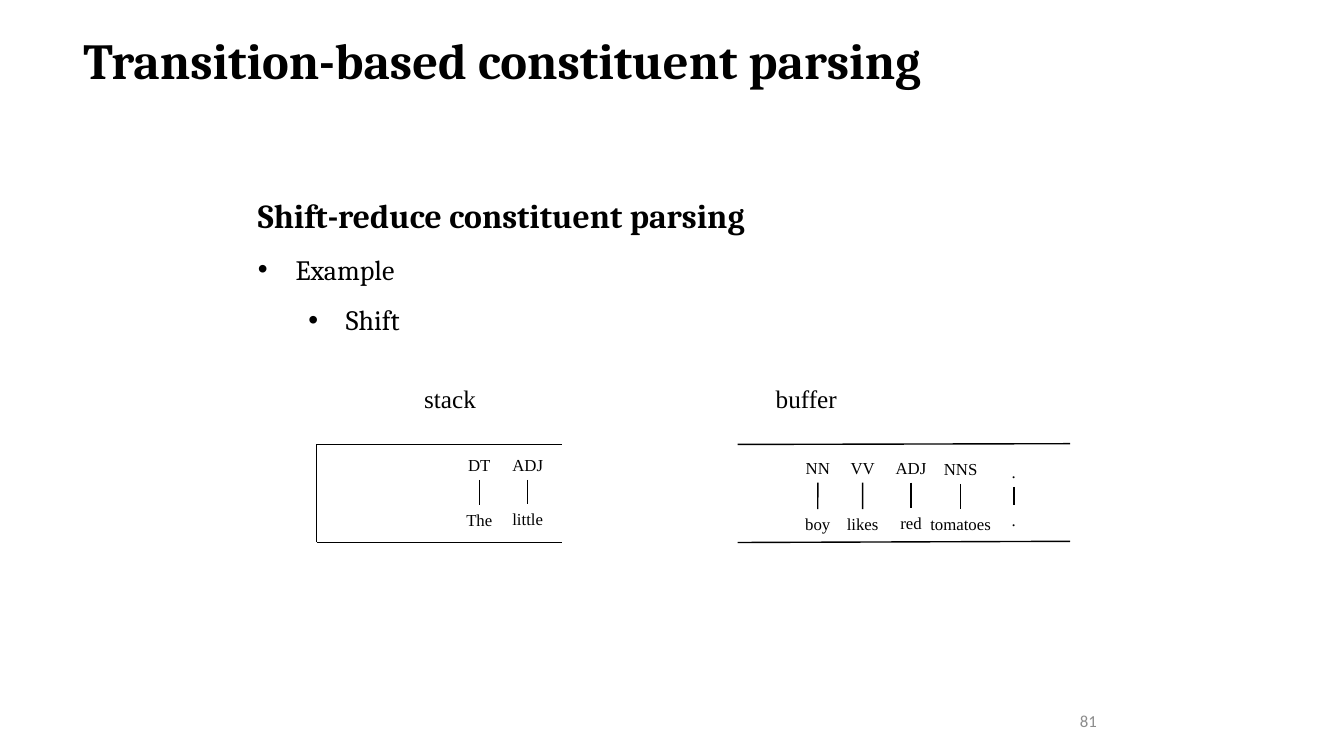
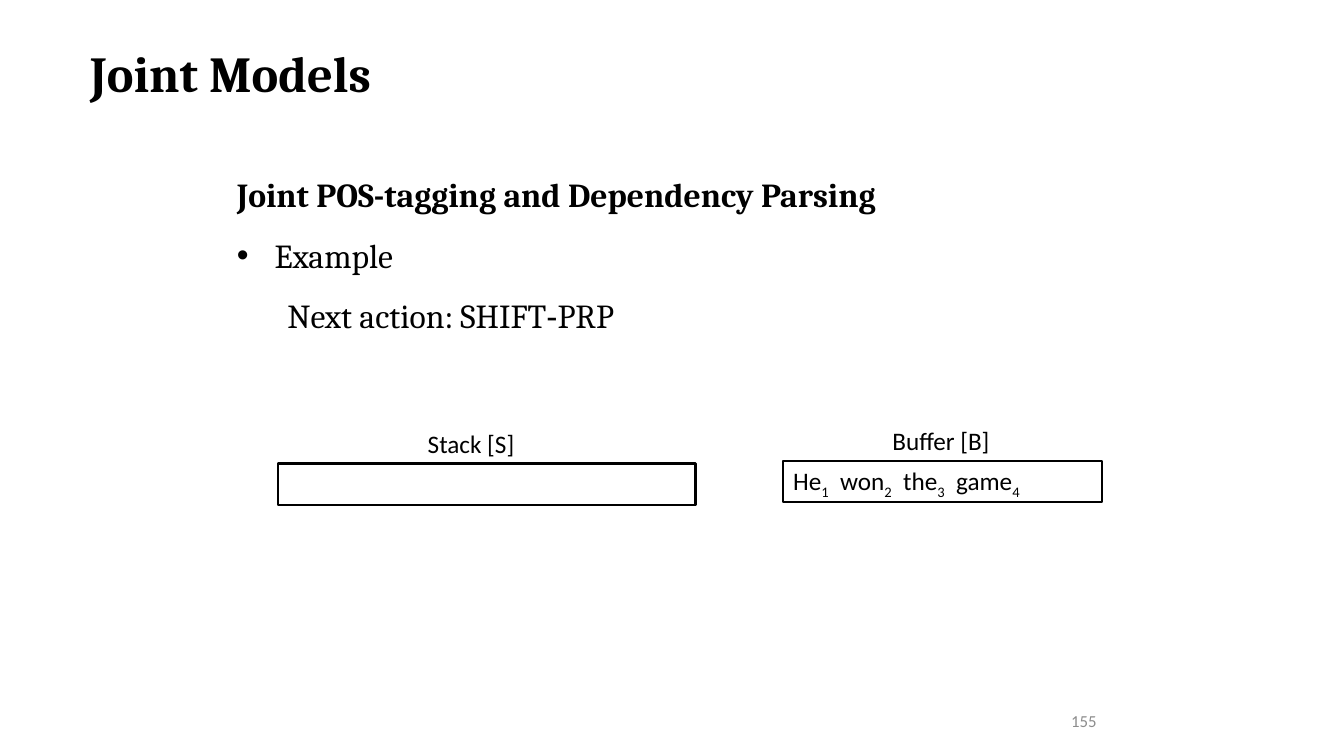
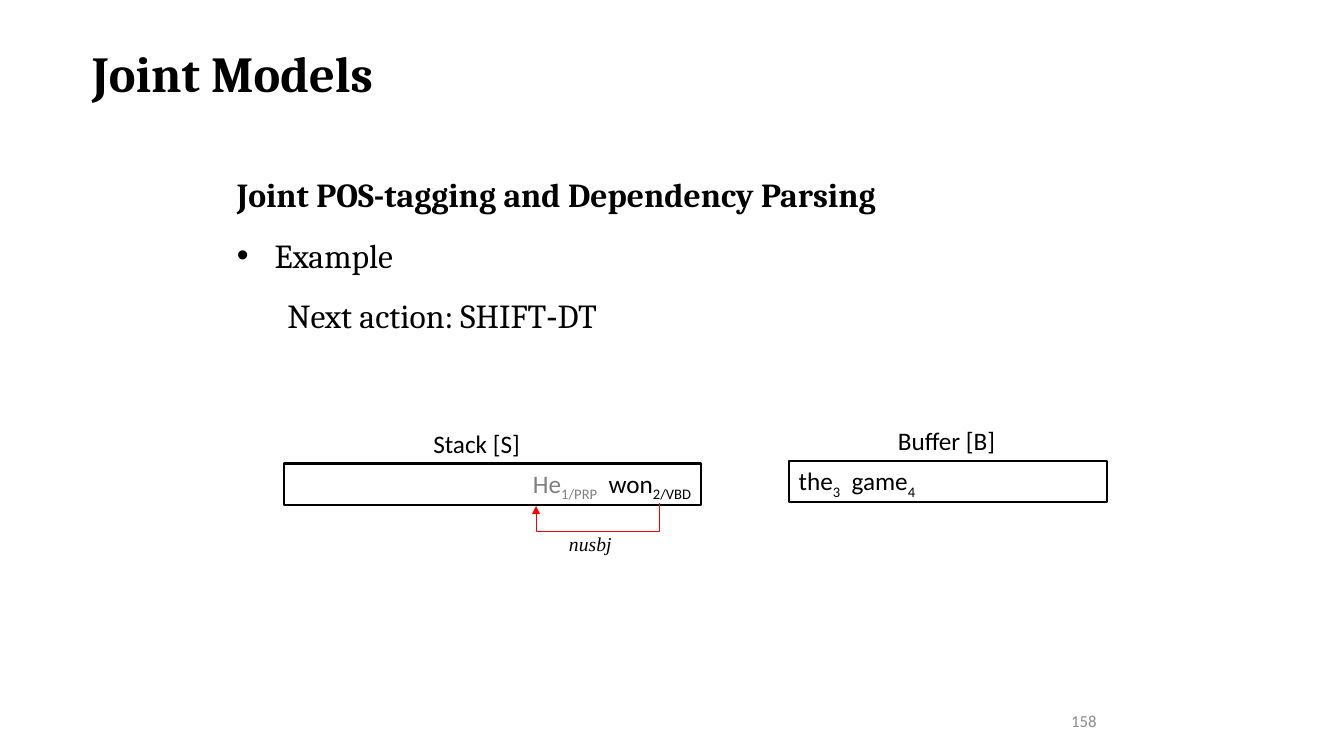
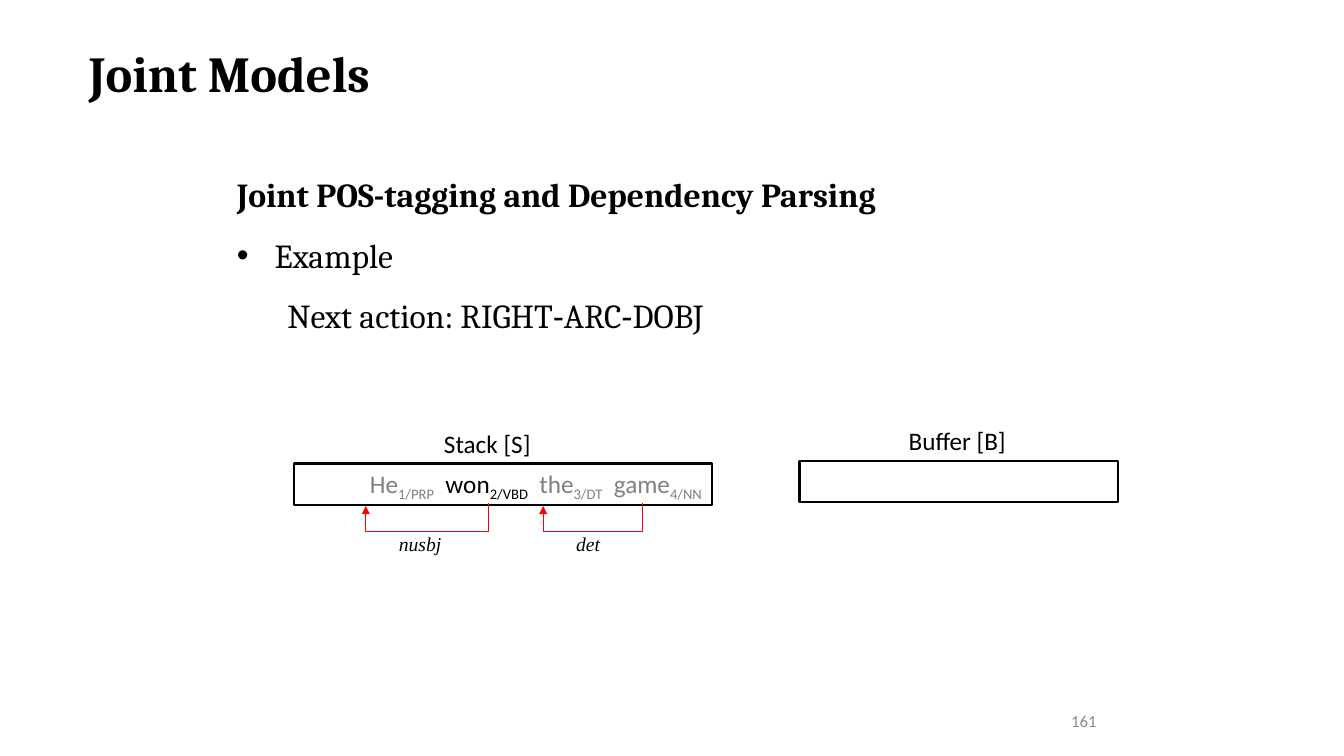
from dataclasses import dataclass

from lxml.etree import SubElement
from pptx import Presentation
from pptx.dml.color import RGBColor
from pptx.enum.shapes import MSO_CONNECTOR, MSO_SHAPE
from pptx.enum.text import MSO_ANCHOR, MSO_AUTO_SIZE, PP_ALIGN
from pptx.oxml.ns import qn
from pptx.util import Cm, Pt


@dataclass(frozen=True)
class Theme:
    ink: str = "000000"
    dim: str = "808080"
    footer: str = "8C8C8C"
    arc: str = "FF0000"
    serif: str = "Cambria"
    sans: str = "Calibri"
    tree: str = "Times New Roman"
    hyphen: str = "Arial"
    title_size: int = 36
    heading_size: int = 24
    bullet_size: int = 20
    label_size: int = 18
    arc_size: int = 14
    small_size: int = 12


class Deck:
    def __init__(self, theme):
        self.theme = theme
        self.prs = Presentation()
        self.prs.slide_width = Cm(33.87)
        self.prs.slide_height = Cm(19.05)
        self.slide = None

    def new_slide(self, title, number, left, top, width):
        t = self.theme
        self.slide = self.prs.slides.add_slide(self.prs.slide_layouts[5])
        heading = self.slide.shapes.title
        heading.left, heading.top = Cm(left), Cm(top)
        heading.width, heading.height = Cm(width), Cm(1.8)
        frame = heading.text_frame
        frame.auto_size = MSO_AUTO_SIZE.NONE
        frame.vertical_anchor = MSO_ANCHOR.TOP
        paragraph = frame.paragraphs[0]
        paragraph.alignment = PP_ALIGN.LEFT
        self.run(paragraph, title, t.title_size, t.serif, bold=True)
        self.text(str(number), 22.17, 17.65, 5.72, 1.02, t.small_size, t.sans,
                  color=t.footer, align=PP_ALIGN.RIGHT, anchor=MSO_ANCHOR.MIDDLE)

    def run(self, paragraph, text, size, font, color=None, bold=False, italic=False):
        run = paragraph.add_run()
        run.text = text
        run.font.size = Pt(size)
        run.font.name = font
        run.font.bold = bold
        run.font.italic = italic
        run.font.color.rgb = RGBColor.from_string(color or self.theme.ink)
        return run

    def frame(self, left, top, width, height):
        box = self.slide.shapes.add_textbox(Cm(left), Cm(top), Cm(width), Cm(height))
        box.text_frame.word_wrap = True
        return box

    def text(self, text, left, top, width, height, size, font, color=None,
             italic=False, align=PP_ALIGN.LEFT, anchor=MSO_ANCHOR.TOP, wrap=True):
        box = self.frame(left, top, width, height)
        box.text_frame.word_wrap = wrap
        box.text_frame.vertical_anchor = anchor
        paragraph = box.text_frame.paragraphs[0]
        paragraph.alignment = align
        self.run(paragraph, text, size, font, color, italic=italic)
        return box

    def outline(self, left, top, width, height, heading, items, size):
        t = self.theme
        frame = self.frame(left, top, width, height).text_frame
        paragraph = frame.paragraphs[0]
        paragraph.line_spacing = 1.5
        self.run(paragraph, heading, t.heading_size, t.serif, bold=True)
        for level, margin, hanging, item in items:
            paragraph = frame.add_paragraph()
            paragraph.level = level
            props = paragraph._p.get_or_add_pPr()
            props.set("marL", str(Cm(margin)))
            props.set("indent", str(-Cm(hanging)))
            if hanging:
                SubElement(props, qn("a:buFont"), typeface="Arial")
                SubElement(props, qn("a:buChar"), char="•")
            paragraph.line_spacing = 1.5
            for i, part in enumerate(item.split("-")):
                if i:
                    self.run(paragraph, "-", size, t.hyphen)
                self.run(paragraph, part, size, t.serif)

    def style_line(self, line, color, weight):
        line.line.color.rgb = RGBColor.from_string(color)
        line.line.width = Pt(weight)
        SubElement(line._element.spPr, qn("a:effectLst"))

    def line(self, x1, y1, x2, y2):
        line = self.slide.shapes.add_connector(
            MSO_CONNECTOR.STRAIGHT, Cm(x1), Cm(y1), Cm(x2), Cm(y2))
        self.style_line(line, self.theme.ink, 1)
        return line

    def tagged_word(self, tag, word, center, tag_top, word_top, tag_width, word_width):
        t = self.theme
        upper, lower = [
            self.text(label, center - width / 2, top, width, 0.76, t.small_size,
                      t.tree, align=PP_ALIGN.CENTER, wrap=False)
            for label, top, width in ((tag, tag_top, tag_width),
                                      (word, word_top, word_width))]
        stem = self.line(center, tag_top + 0.76, center, word_top)
        stem.begin_connect(upper, 2)
        stem.end_connect(lower, 0)

    def queue(self, label, label_left, label_width, left, top, width, words, align):
        t = self.theme
        box = self.slide.shapes.add_shape(
            MSO_SHAPE.RECTANGLE, Cm(left), Cm(top), Cm(width), Cm(1.04))
        box.shadow.inherit = False
        box.fill.background()
        box.line.color.rgb = RGBColor.from_string(t.ink)
        box.line.width = Pt(1.5)
        if words:
            box.text_frame.vertical_anchor = MSO_ANCHOR.TOP
            paragraph = box.text_frame.paragraphs[0]
            paragraph.alignment = align
            for i, (word, index, color) in enumerate(words):
                if i:
                    gap = self.run(paragraph, " ", t.label_size, t.sans)
                    gap._r.get_or_add_rPr().set("spc", "400")
                self.run(paragraph, word, t.label_size, t.sans, color)
                sub = self.run(paragraph, index, t.label_size, t.sans, color)
                sub._r.get_or_add_rPr().set("baseline", "-25000")
        self.text(label, label_left, top - 1.02, label_width, 1.02,
                  t.label_size, t.sans)

    def arc(self, label, left, right, label_width):
        t = self.theme
        center, middle, rise, drop = (left + right) / 2, 12.71, 0.08, 0.64
        half = (right - left) / 2
        arc = self.slide.shapes.add_connector(
            MSO_CONNECTOR.ELBOW,
            Cm(center + rise / 2), Cm(middle + half),
            Cm(center - rise / 2), Cm(middle - half))
        props = arc._element.spPr
        props.find(qn("a:xfrm")).set("rot", "5400000")
        guides = props.find(qn("a:prstGeom")).find(qn("a:avLst"))
        SubElement(guides, qn("a:gd"), name="adj1",
                   fmla=f"val {round(-drop / rise * 100000)}")
        self.style_line(arc, t.arc, 0.5)
        SubElement(props.find(qn("a:ln")), qn("a:headEnd"), type="triangle")
        self.text(label, left + 0.58, 13.28, label_width, 0.86, t.arc_size, t.tree,
                  italic=True)


def constituent_slide(deck):
    t = deck.theme
    deck.new_slide("Transition-based constituent parsing", 81, 1.85, 0.61, 22.25)
    deck.outline(6.25, 4.29, 19.58, 4.24, "Shift-reduce constituent parsing",
                 [(0, 0.95, 0.95, "Example"), (1, 2.22, 0.95, "Shift")],
                 t.bullet_size)
    for label, left, width in (("stack", 10.44, 1.83), ("buffer", 19.3, 2.06)):
        deck.text(label, left, 9.53, width, 1.02, t.label_size, t.tree, wrap=False)
    for edge in ((7.98, 11.2, 14.17, 11.2), (7.98, 13.67, 14.17, 13.67),
                 (7.98, 11.2, 7.98, 13.67), (18.59, 13.67, 26.97, 13.64),
                 (18.59, 11.2, 26.97, 11.18)):
        deck.line(*edge)
    for token in (("DT", "The", 12.08, 11.33, 12.73, 1.09, 1.17),
                  ("ADJ", "little", 13.3, 11.33, 12.7, 1.3, 1.3),
                  ("NN", "boy", 20.61, 11.4, 12.83, 1.12, 1.14),
                  ("VV", "likes", 21.74, 11.4, 12.83, 1.12, 1.32),
                  ("ADJ", "red", 22.96, 11.4, 12.8, 1.3, 1.07),
                  ("NNS", "tomatoes", 24.21, 11.43, 12.83, 1.37, 2.06),
                  (".", ".", 25.55, 11.51, 12.73, 0.61, 0.61)):
        deck.tagged_word(*token)


def joint_slide(deck, number, title_left, action, left, stack, buffer, arcs):
    t = deck.theme
    deck.new_slide("Joint Models", number, title_left, 0.94, 21.92 - title_left)
    deck.outline(5.72, 3.76, 22.45, 4.72, "Joint POS-tagging and Dependency Parsing",
                 [(0, 0.95, 0.95, "Example"),
                  (1, 1.27, 0, f"Next action: {action}")], t.heading_size)
    deck.queue("Stack [S]", left + 3.52, 2.97, left, 11.68, 10.52, stack,
               PP_ALIGN.RIGHT)
    deck.queue("Buffer [B]", left + 15.23, 3.81, left + 12.73, 11.61, 8.03, buffer,
               PP_ALIGN.LEFT)
    for arc in arcs:
        deck.arc(*arc)


def main():
    theme = Theme()
    deck = Deck(theme)
    constituent_slide(deck)
    sentence = [(word, str(i), theme.ink)
                for i, word in enumerate(("He", "won", "the", "game"), 1)]
    tagged = [("He", "1/PRP", theme.dim), ("won", "2/VBD", theme.ink),
              ("the", "3/DT", theme.dim), ("game", "4/NN", theme.dim)]
    joint_slide(deck, 155, 2.01, "SHIFT-PRP", 7.01, [], sentence, [])
    joint_slide(deck, 158, 2.06, "SHIFT-DT", 7.15, tagged[:2], sentence[2:],
                [("nusbj", 13.51, 16.61, 1.96)])
    joint_slide(deck, 161, 1.98, "RIGHT-ARC-DOBJ", 7.42, tagged, [],
                [("nusbj", 9.22, 12.32, 1.96), ("det", 13.69, 16.18, 1.19)])
    deck.prs.save("out.pptx")


if __name__ == "__main__":
    main()
